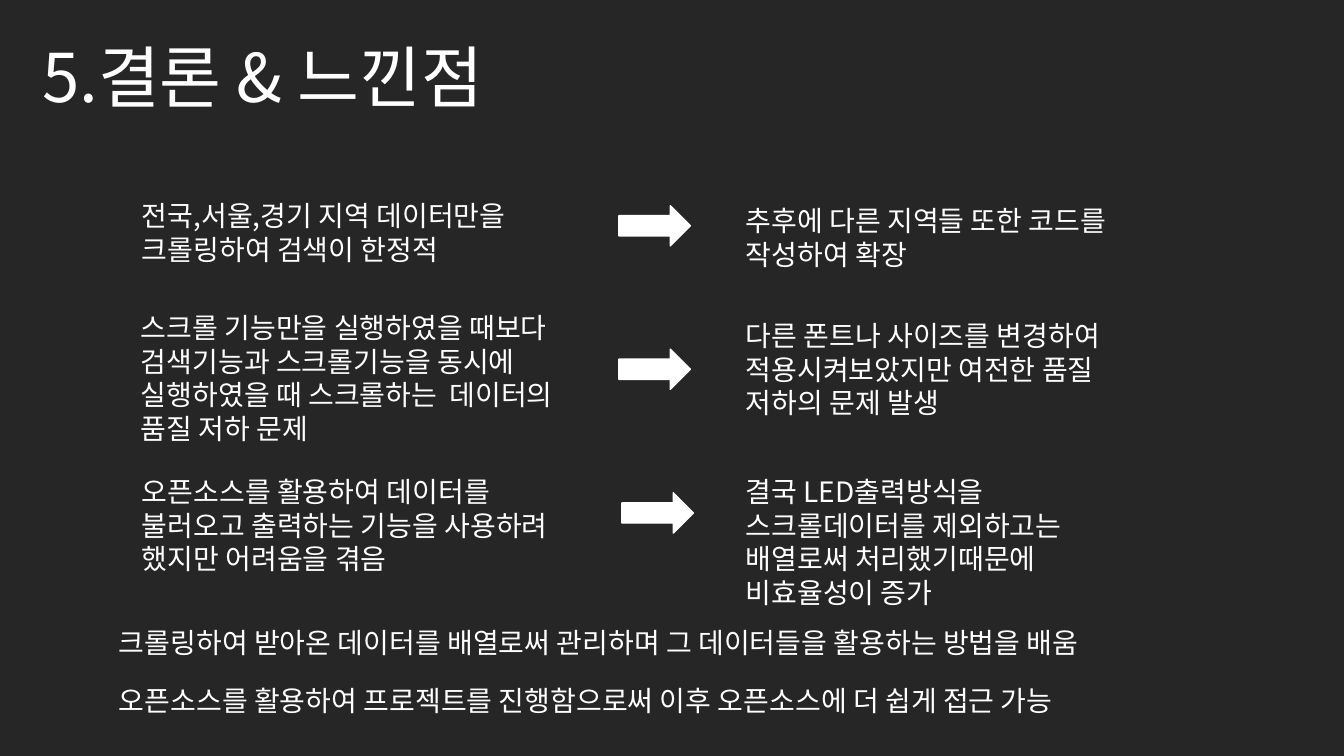
from pptx import Presentation
from pptx.dml.color import RGBColor
from pptx.enum.shapes import MSO_SHAPE as Shape
from pptx.enum.text import MSO_AUTO_SIZE as Auto
from pptx.oxml.ns import qn
from pptx.util import Pt
from lxml.etree import SubElement

FONT = "Noto Sans CJK KR"
COLORS = {"back": "262626", "text": "FFFFFF"}

TITLE = "5.결론 & 느낀점"
LIMITS = [
    ("전국,서울,경기 지역 데이터만을 크롤링하여 검색이 한정적", 94.3, 138.2, 55.4),
    ("스크롤 기능만을 실행하였을 때보다 검색기능과 스크롤기능을 동시에 "
     "실행하였을 때 스크롤하는\t 데이터의 품질 저하 문제", 93.6, 218.2, 104.4),
    ("오픈소스를 활용하여 데이터를 불러오고 출력하는 기능을 사용하려 "
     "했지만 어려움을 겪음", 94.3, 335.5, 80),
]
RESULTS = [
    ("추후에 다른 지역들 또한 코드를 작성하여 확장", 141.8, 327.6, 55.4),
    ("다른 폰트나 사이즈를 변경하여 적용시켜보았지만 여전한 품질 저하의 문제 발생",
     223.9, 316.8, 80),
    ("결국 LED출력방식을 스크롤데이터를 제외하고는 배열로써 처리했기때문에 "
     "비효율성이 증가", 335.5, 316.8, 80),
]
ARROWS = [(442.1, 146.9), (442.1, 249.4), (444.2, 352)]
LESSONS = [
    ("크롤링하여 받아온 데이터를 배열로써 관리하며 그 데이터들을 활용하는 방법을 배움",
     443.5, 55.4),
    ("오픈소스를 활용하여 프로젝트를 진행함으로써 이후 오픈소스에 더 쉽게 접근 가능",
     484.6, 31.7),
]


def color(key):
    return RGBColor.from_string(COLORS[key])


def write(slide, text, left, top, width, height, size=20):
    box = slide.shapes.add_textbox(Pt(left), Pt(top), Pt(width), Pt(height))
    frame = box.text_frame
    frame.word_wrap = True
    frame.auto_size = Auto.SHAPE_TO_FIT_TEXT
    para = frame.paragraphs[0]
    para.text = text
    para.line_spacing = Pt(size * 1.2)
    font = para.font
    font.name = FONT
    font.size = Pt(size)
    font.color.rgb = color("text")
    props = para._p.pPr.find(qn("a:defRPr"))
    SubElement(props, qn("a:ea")).set("typeface", FONT)


def point(slide, left, top):
    arrow = slide.shapes.add_shape(
        Shape.RIGHT_ARROW, Pt(left), Pt(top), Pt(51.1), Pt(28.8))
    arrow.shadow.inherit = False
    arrow.fill.solid()
    arrow.fill.fore_color.rgb = color("text")
    arrow.line.color.rgb = color("text")
    arrow.line.width = Pt(1)


def main():
    deck = Presentation()
    deck.slide_width, deck.slide_height = Pt(960), Pt(540)
    slide = deck.slides.add_slide(deck.slide_layouts[6])
    fill = slide.background.fill
    fill.solid()
    fill.fore_color.rgb = color("back")

    write(slide, TITLE, 23, 21.6, 457.2, 65.5, 48)
    for text, left, top, height in LIMITS:
        write(slide, text, left, top, 316.8, height)
    for left, top in ARROWS:
        point(slide, left, top)
    for text, top, width, height in RESULTS:
        write(slide, text, 525.6, top, width, height)
    for text, top, height in LESSONS:
        write(slide, text, 77.8, top, 805, height)

    deck.save("out.pptx")


if __name__ == "__main__":
    main()
